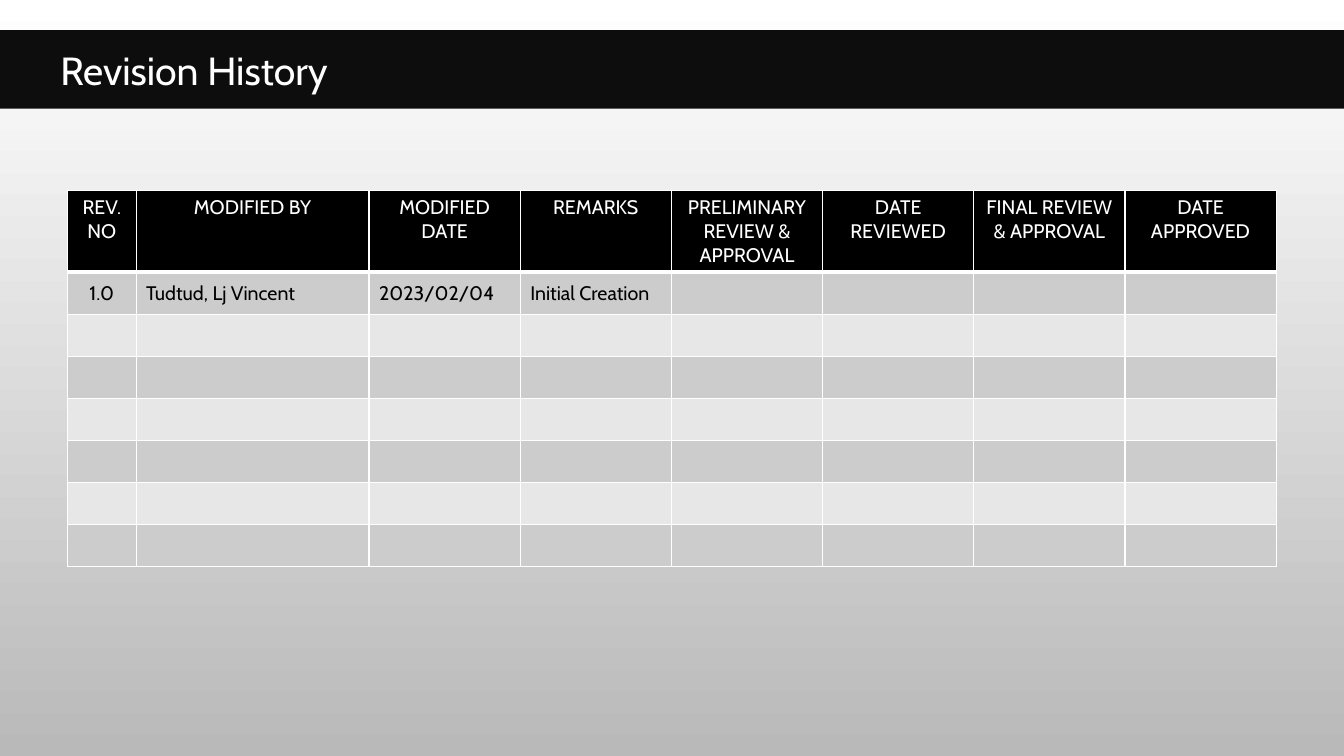
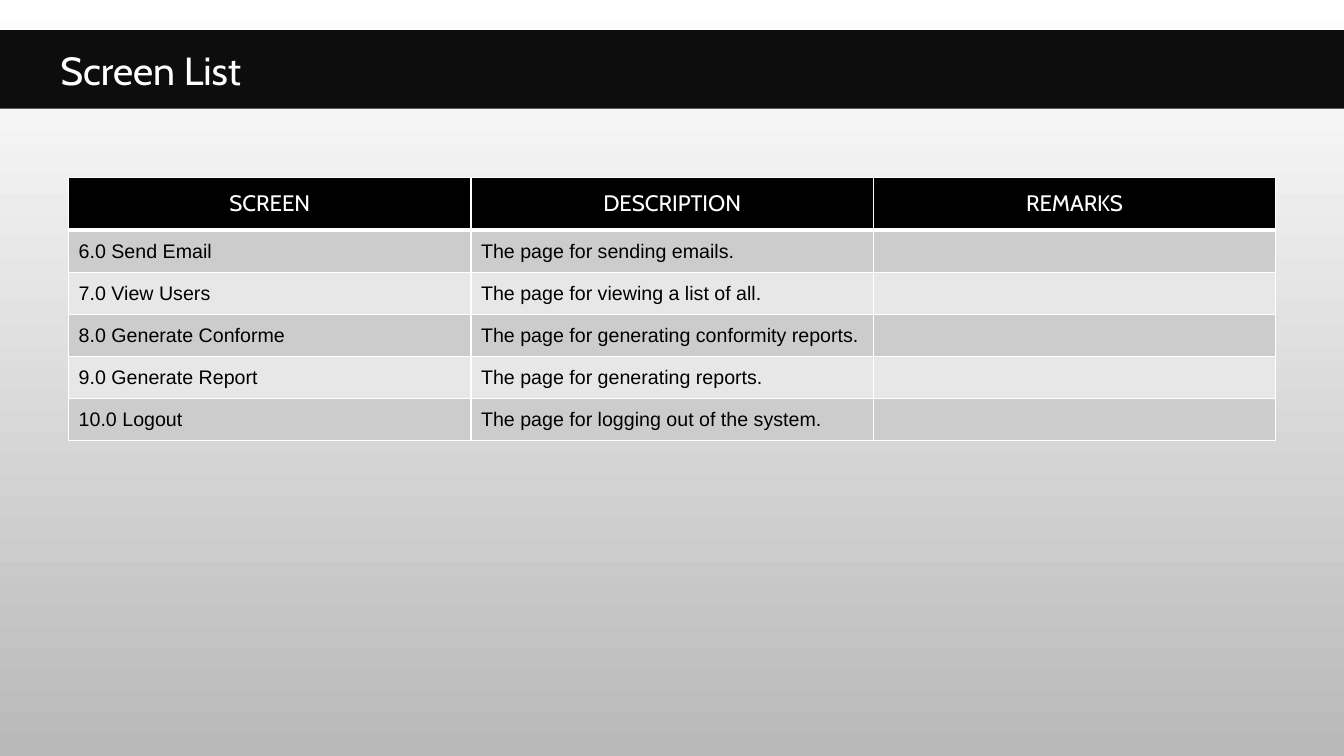
"""Build the revision history and screen list slides."""
from lxml.etree import SubElement
from pptx import Presentation
from pptx.dml.color import RGBColor as Rgb
from pptx.enum.text import MSO_ANCHOR as Anchor, PP_ALIGN as Align
from pptx.oxml.ns import qn
from pptx.util import Cm, Pt

COLORS = {
    "band": "0D0D0D", "header": "000000", "header_text": "FFFFFF",
    "body_text": "000000", "odd_row": "CCCCCC", "even_row": "E7E7E7",
    "border": "FFFFFF", "sky": "FFFFFF", "ground": "B9B9B9",
}
TITLE_ONLY = 5


def color(role):
    return Rgb.from_string(COLORS[role])


def apply(target, **values):
    for name, value in values.items():
        setattr(target, name, value)


class Deck:
    def __init__(self):
        self.prs = Presentation()
        apply(self.prs, slide_width=Cm(33.87), slide_height=Cm(19.05))
        backdrop = self.prs.slide_master.background.fill
        backdrop.gradient()
        backdrop.gradient_angle = 270
        for stop, role in zip(backdrop.gradient_stops, ("sky", "ground")):
            stop.color.rgb = color(role)

    def start(self, heading):
        layout = self.prs.slide_layouts[TITLE_ONLY]
        self.slide = self.prs.slides.add_slide(layout)
        band = self.slide.shapes.title
        apply(band, left=0, top=Cm(0.76), width=self.prs.slide_width, height=Cm(1.98))
        self.paint(band, "band")
        apply(band.text_frame, margin_left=Cm(1.52), vertical_anchor=Anchor.MIDDLE)
        self.add_words(band.text_frame, heading, "header_text", size=Pt(28), name="Cabin")

    def paint(self, part, role):
        part.fill.solid()
        part.fill.fore_color.rgb = color(role)

    def add_words(self, frame, words, role, align=Align.LEFT, **style):
        line = frame.paragraphs[0]
        line.alignment = align
        if words:
            run = line.add_run()
            run.text = words
            apply(run.font, bold=False, **style)
            run.font.color.rgb = color(role)

    def border(self, cell, **widths):
        properties = cell._tc.get_or_add_tcPr()
        for side in "LRTB":
            edge = SubElement(properties, qn(f"a:ln{side}"), w=str(Pt(widths.get(side, 1))))
            paint = SubElement(edge, qn("a:solidFill"))
            SubElement(paint, qn("a:srgbClr"), val=COLORS["border"])

    def table(self, left, top, widths, heights, records, header, body, centered=()):
        grid = self.slide.shapes.add_table(
            len(heights), len(widths), Cm(left), Cm(top),
            Cm(sum(widths)), Cm(sum(heights))).table
        grid.horz_banding = False
        for column, width in zip(grid.columns, widths):
            column.width = Cm(width)
        for index, (row, height) in enumerate(zip(grid.rows, heights)):
            row.height = Cm(height)
            record = records[index] if index < len(records) else ()
            for position, cell in enumerate(row.cells):
                words = record[position] if position < len(record) else ""
                if index == 0:
                    self.header_cell(cell, words, **header)
                else:
                    align = Align.CENTER if position in centered else Align.LEFT
                    self.body_cell(cell, words, index, align, body)

    def header_cell(self, cell, words, anchor, **style):
        self.border(cell, B=3)
        self.paint(cell, "header")
        cell.vertical_anchor = anchor
        self.add_words(cell.text_frame, words, "header_text", Align.CENTER, **style)

    def body_cell(self, cell, words, index, align, style):
        self.border(cell, T=3 if index == 1 else 1)
        self.paint(cell, "odd_row" if index % 2 else "even_row")
        cell.vertical_anchor = Anchor.MIDDLE
        self.add_words(cell.text_frame, words, "body_text", align, **style)


def main():
    deck = Deck()

    deck.start("Revision History")
    revisions = [
        ("REV. NO", "MODIFIED BY", "MODIFIED DATE", "REMARKS",
         "PRELIMINARY REVIEW & APPROVAL", "DATE REVIEWED",
         "FINAL REVIEW & APPROVAL", "DATE APPROVED"),
        ("1.0", "Tudtud, Lj Vincent", "2023/02/04", "Initial Creation"),
    ]
    deck.table(
        1.7, 4.8, [1.73, 5.87] + [3.81] * 6, [1.93] + [1.06] * 7, revisions,
        header={"anchor": Anchor.TOP, "size": Pt(14), "name": "Cabin"},
        body={"size": Pt(14), "name": "Cabin"}, centered=(0,))

    deck.start("Screen List")
    screens = [
        ("SCREEN", "DESCRIPTION", "REMARKS"),
        ("6.0 Send Email", "The page for sending emails."),
        ("7.0 View Users", "The page for viewing a list of all."),
        ("8.0 Generate Conforme", "The page for generating conformity reports."),
        ("9.0 Generate Report", "The page for generating reports."),
        ("10.0 Logout", "The page for logging out of the system."),
    ]
    deck.table(
        1.73, 4.48, [10.14] * 3, [1.32] + [1.06] * 5, screens,
        header={"anchor": Anchor.MIDDLE, "size": Pt(16), "name": "Cabin"},
        body={"size": Pt(14), "name": "Arial"})

    deck.prs.save("out.pptx")


if __name__ == "__main__":
    main()
